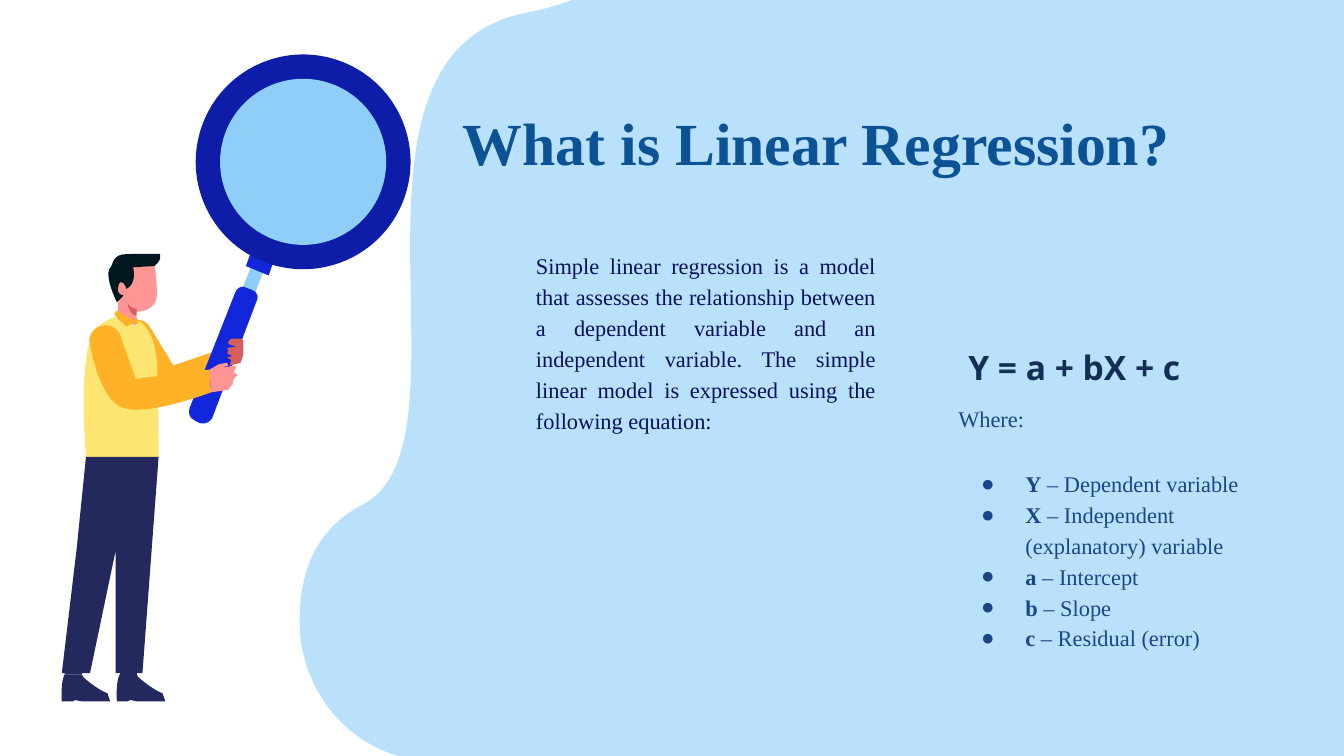
"""Build the slide that explains linear regression."""
from lxml.etree import SubElement
from pptx import Presentation
from pptx.dml.color import RGBColor
from pptx.enum.shapes import MSO_SHAPE as Preset
from pptx.enum.text import MSO_ANCHOR as Anchor, MSO_AUTO_SIZE as AutoSize, PP_ALIGN as Align
from pptx.oxml.ns import qn
from pptx.util import Cm, Pt

SKY = RGBColor(0x8F, 0xCE, 0xF9)
TITLE_BLUE = RGBColor(0x0B, 0x53, 0x94)
TEXT_NAVY = RGBColor(0x07, 0x10, 0x5C)
EQUATION_NAVY = RGBColor(0x13, 0x2E, 0x57)
LIST_BLUE = RGBColor(0x1C, 0x45, 0x87)
HANDLE_BLUE = RGBColor(0x12, 0x26, 0xDB)
RING_BLUE = RGBColor(0x0E, 0x1D, 0xA8)
ORANGE = RGBColor(0xFF, 0xB1, 0x27)
YELLOW = RGBColor(0xFD, 0xE5, 0x71)
SKIN = RGBColor(0xFF, 0x95, 0x95)
SKIN_SHADE = RGBColor(0xD8, 0x5E, 0x5E)
HAIR = RGBColor(0x00, 0x17, 0x1F)
TROUSERS = RGBColor(0x23, 0x29, 0x5C)
SERIF = "Times New Roman"
UNIT = Cm(2.54) / 100


def draw_outline(shapes, color, start, *segments):
    points = [segment[i:i + 2] for segment in segments for i in range(0, len(segment), 2)]
    builder = shapes.build_freeform(*start, scale=UNIT)
    builder.add_line_segments(points, close=True)
    shape = builder.convert_to_shape()
    contour = next(shape._element.iter(qn("a:path")))
    lines = iter(contour.findall(qn("a:lnTo")))
    for segment in segments:
        line = next(lines)
        if len(segment) == 6:
            line.tag = qn("a:cubicBezTo")
            for extra in (next(lines), next(lines)):
                line.append(extra[0])
                contour.remove(extra)
    shape.shadow.inherit = False
    shape.fill.solid()
    shape.fill.fore_color.rgb = color
    shape.line.fill.background()
    return shape


def write(frame, text, lead="", size=12, color=LIST_BLUE, font=SERIF, bold=False,
          align=Align.LEFT, spacing=1.0, before=0, after=0, bullet=False):
    paragraph = frame.paragraphs[0] if not frame.text else frame.add_paragraph()
    properties = paragraph._p.get_or_add_pPr()
    properties.set("marL", str(Cm(1.27) if bullet else 0))
    properties.set("indent", str(-Cm(0.84) if bullet else 0))
    if bullet:
        bullet_color = SubElement(properties, qn("a:buClr"))
        SubElement(bullet_color, qn("a:srgbClr"), val=str(color))
        SubElement(properties, qn("a:buChar"), char="●")
    else:
        SubElement(properties, qn("a:buNone"))
    paragraph.alignment = align
    paragraph.line_spacing = spacing
    paragraph.space_before, paragraph.space_after = Pt(before), Pt(after)
    for part, is_bold in ((lead, True), (text, bold)):
        if part:
            run = paragraph.add_run()
            run.text = part
            run.font.name, run.font.size, run.font.bold = font, Pt(size), is_bold
            run.font.color.rgb = color


presentation = Presentation()
presentation.slide_width, presentation.slide_height = Cm(25.4), Cm(14.29)
slide = presentation.slides.add_slide(presentation.slide_layouts[1])
shapes = slide.shapes

wave = draw_outline(
    shapes, SKY, (619, -138), (539, -138, 511, -13, 394, 9), (233, 38, 360, 331, 269, 376),
    (235, 394, 224, 425, 223, 458), (221, 517, 266, 566, 322, 566), (1100, 570),
    (1134, 570, 1166, 552, 1184, 522), (1218, 466, 1251, 375, 1151, 324),
    (999, 248, 1201, 99, 1079, -18), (1051, -45, 1028, -54, 1007, -54),
    (961, -54, 924, -13, 867, -13), (832, -13, 790, -28, 735, -77), (685, -122, 649, -138, 619, -138))
wave_color = wave._element.spPr.find(qn("a:solidFill"))[0]
SubElement(wave_color, qn("a:alpha"), val="61000")
shapes._spTree.insert(2, wave._element)

title, variables = shapes.title, slide.placeholders[1]
explanation, equation = (shapes.add_textbox(0, 0, 0, 0) for _ in range(2))
for shape, left, top, width, height in (
        (title, 6.73, 1.75, 17.4, 2.95), (explanation, 9.88, 4.45, 6.93, 5.38),
        (equation, 17.17, 6.12, 6.27, 1.22), (variables, 17.86, 7.34, 6.27, 5.66)):
    shape.left, shape.top, shape.width, shape.height = Cm(left), Cm(top), Cm(width), Cm(height)
    frame = shape.text_frame
    frame.word_wrap, frame.auto_size, frame.vertical_anchor = True, AutoSize.NONE, Anchor.TOP
    frame.margin_left = frame.margin_right = frame.margin_top = frame.margin_bottom = Cm(0.25)

write(title.text_frame, "What is Linear Regression?", size=32, color=TITLE_BLUE, bold=True,
      align=Align.CENTER)
write(explanation.text_frame,
      "Simple linear regression is a model that assesses the relationship between a dependent "
      "variable and an independent variable. The simple linear model is expressed using the "
      "following equation:", color=TEXT_NAVY, align=Align.JUSTIFY, spacing=1.15, after=18)
write(equation.text_frame, "Y = a + bX + c", size=18, color=EQUATION_NAVY, font="Open Sans",
      bold=True, align=Align.CENTER, spacing=1.25, after=2)
write(variables.text_frame, "Where:", spacing=1.15)
for symbol, meaning in (("Y", "Dependent variable"), ("X", "Independent (explanatory) variable"),
                        ("a", "Intercept"), ("b", "Slope"), ("c", "Residual (error)")):
    write(variables.text_frame, f" – {meaning}", lead=symbol, spacing=1.15,
          before=18 if symbol == "Y" else 0, bullet=True)

back_arm = (ORANGE, (102, 238), (106, 238, 110, 240, 112, 244), (129, 272), (173, 257), (176, 269),
            (176, 269, 145, 297, 125, 297), (108, 297, 97, 268, 91, 254),
            (88, 248, 91, 241, 96, 238))
stem = (SKY, (187, 198), (196, 202), (171, 267), (161, 263))
handle = (HANDLE_BLUE, (183, 214), (188, 216), (191, 217, 193, 221, 191, 224), (158, 311),
          (157, 313, 154, 316, 149, 315), (145, 313), (141, 311, 140, 308, 141, 304),
          (175, 218), (176, 215, 179, 212, 183, 214))
clasp = (HANDLE_BLUE, (187, 187), (204, 193), (200, 205), (183, 198))
vest = (YELLOW, (92, 235), (98, 235, 101, 238, 101, 238), (101, 238, 116, 241, 117, 274),
        (118, 299, 118, 340, 118, 340), (64, 340), (64, 340, 57, 257, 72, 244),
        (80, 237, 87, 235, 92, 235))
face = (SKIN, (115, 198), (115, 198, 119, 221, 115, 226), (111, 232, 102, 232, 102, 232),
        (101, 242), (88, 238), (88, 226), (85, 199))
hair = (HAIR, (102, 189), (119, 189), (119, 189, 121, 193, 115, 198),
        (99, 199), (100, 202, 101, 212, 94, 215), (94, 215, 93, 210, 90, 210),
        (88, 210, 85, 219, 92, 220), (87, 225), (87, 225, 76, 203, 83, 198),
        (84, 194, 86, 191, 89, 190), (91, 189, 96, 189, 102, 189))
neck_shade = (SKIN_SHADE, (95, 225), (95, 229, 102, 230, 102, 230), (101, 235),
              (95, 233, 95, 225, 95, 225))
collar = (ORANGE, (87, 231), (100, 239), (101, 236), (103, 238), (103, 241), (100, 240),
          (94, 243), (85, 234))
trousers = (TROUSERS, (118, 340), (106, 501), (86, 501), (86, 410), (67, 501), (46, 501),
            (57, 409), (64, 340))
left_ankle = (TROUSERS, (63, 494), (61, 502), (48, 502), (49, 494))
right_ankle = (TROUSERS, (102, 493), (102, 502), (89, 502), (89, 493))
left_shoe = (TROUSERS, (61, 502), (62, 504), (62, 504, 72, 513, 80, 516), (82, 522), (61, 522),
             (56, 521), (54, 522), (46, 522), (46, 522, 45, 508, 48, 502))
right_shoe = (TROUSERS, *(tuple(value + 41 * (index % 2 == 0) for index, value in enumerate(segment))
                          for segment in left_shoe[1:]))
front_arm = (ORANGE, (79, 242), (84, 242, 89, 246, 90, 251), (101, 282), (156, 275), (157, 292),
             (157, 292, 123, 305, 101, 305), (97, 305, 93, 304, 90, 303),
             (77, 297, 70, 272, 67, 257), (65, 251, 69, 242, 79, 242))
front_hand = (SKIN, (163, 271), (169, 270), (170, 272), (164, 274), (174, 272), (176, 273),
              (174, 277), (177, 279), (174, 282), (173, 286), (170, 290), (157, 292), (156, 275))
back_hand = (SKIN_SHADE, (172, 252), (179, 252), (181, 253), (181, 257), (181, 261), (181, 264),
             (179, 270), (171, 272), (172, 268), (169, 266), (173, 265), (169, 263), (170, 261),
             (169, 259), (176, 258), (170, 256), (170, 254))

figure = [draw_outline(shapes, *part) for part in (
    back_arm, stem, handle, clasp, vest, face, hair, neck_shade, collar, trousers, left_ankle,
    left_shoe, right_ankle, right_shoe, front_arm, front_hand, back_hand)]
for preset, color, radius in ((Preset.DONUT, RING_BLUE, 2.03), (Preset.OVAL, SKY, 1.57)):
    circle = shapes.add_shape(preset, Cm(5.73 - radius), Cm(3.06 - radius), Cm(2 * radius), Cm(2 * radius))
    circle.shadow.inherit = False
    circle.fill.solid()
    circle.fill.fore_color.rgb = color
    circle.line.fill.background()
    if preset == Preset.DONUT:
        circle.adjustments[0] = 0.12
    figure.append(circle)
shapes.add_group_shape(figure)

presentation.save("out.pptx")
